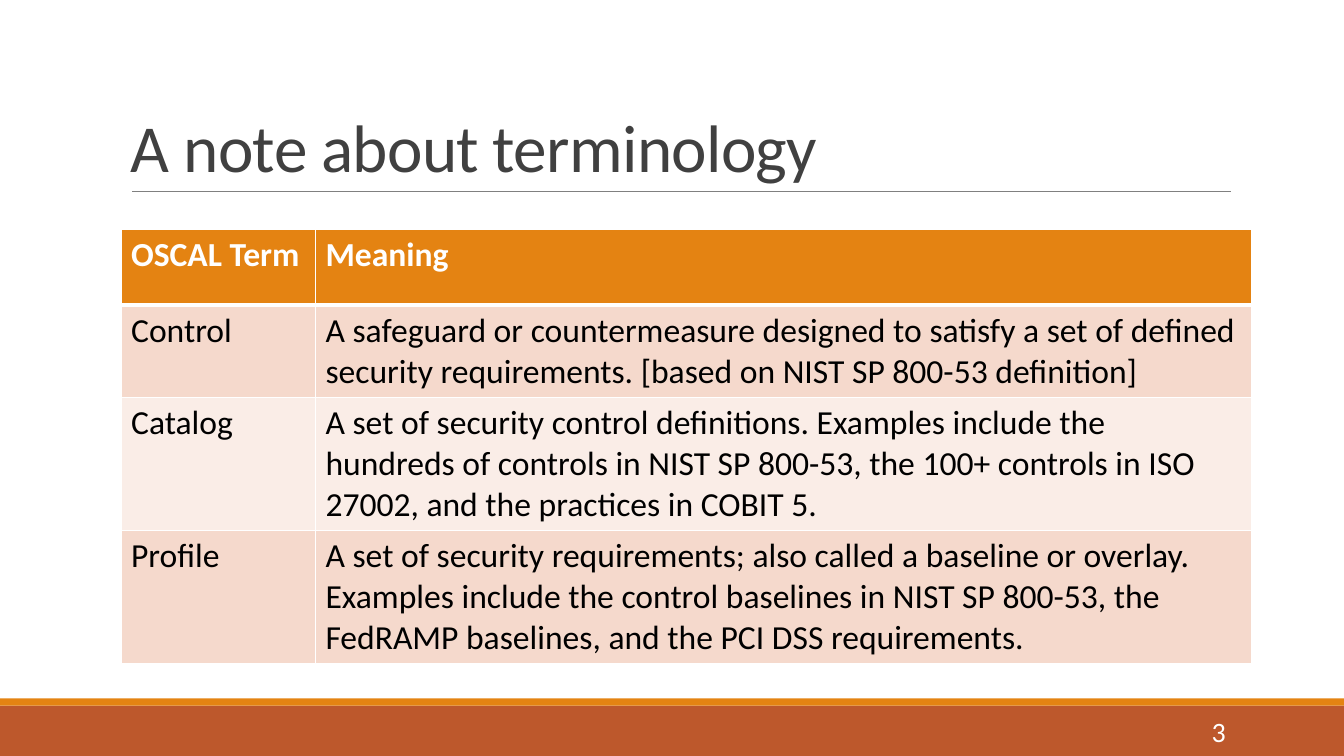
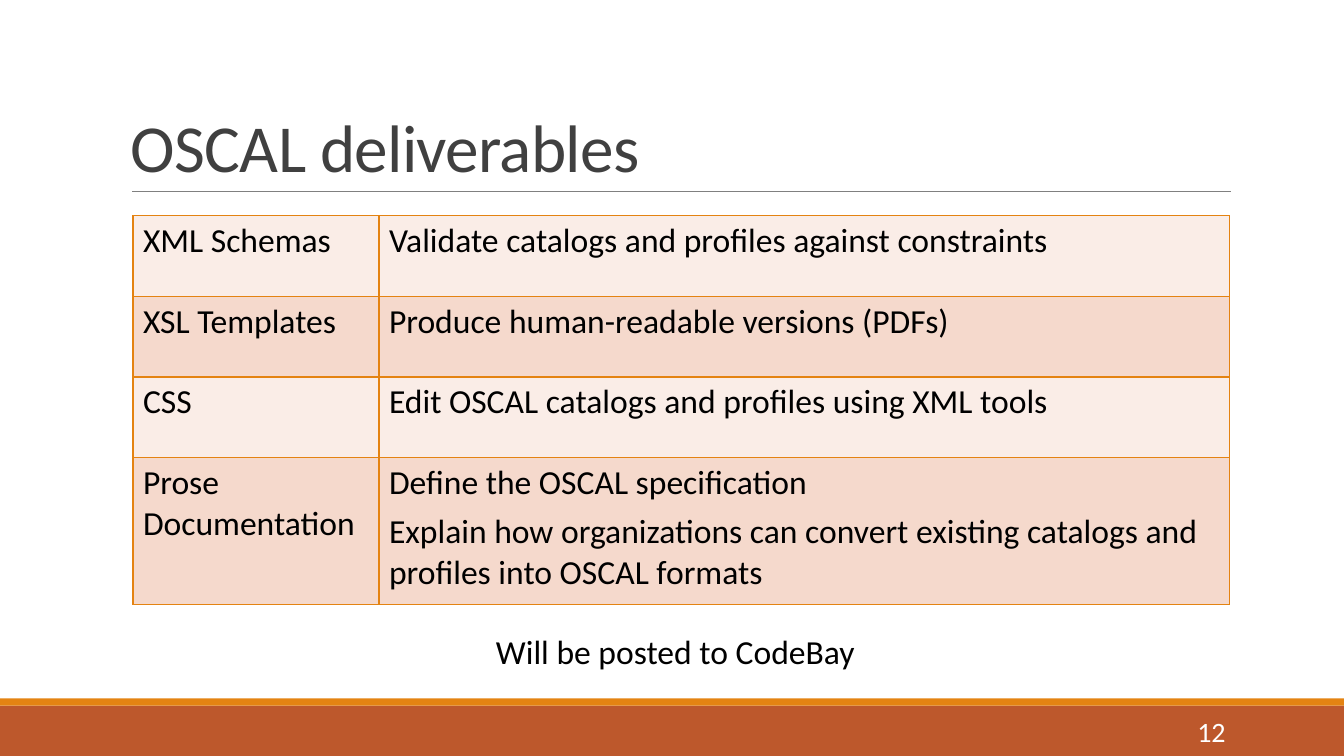
"""Build two slides on OSCAL terminology and deliverables."""
from lxml.etree import SubElement
from pptx import Presentation
from pptx.dml.color import RGBColor
from pptx.enum.shapes import MSO_CONNECTOR as Connector, MSO_SHAPE as Shape
from pptx.enum.text import MSO_ANCHOR as Anchor, PP_ALIGN as Align
from pptx.oxml.ns import qn
from pptx.util import Cm, Pt

WIDTH, HEIGHT = 33.87, 19.05
FONT = "Calibri"
WHITE, BLACK, TITLE_GREY, RULE_GREY = "FFFFFF", "000000", "404040", "808080"
ORANGE, RUST, PEACH, PALE_PEACH = "E48312", "BD582C", "F5D9CC", "FAEDE7"
TEXT_LEFT, TEXT_WIDTH = 3.05, 27.94

TERMS = [
    ("OSCAL Term", "Meaning"),
    ("Control", "A safeguard or countermeasure designed to satisfy a set of "
     "defined security requirements. [based on NIST SP 800-53 definition]"),
    ("Catalog", "A set of security control definitions. Examples include the "
     "hundreds of controls in NIST SP 800-53, the 100+ controls in ISO 27002, "
     "and the practices in COBIT 5."),
    ("Profile", "A set of security requirements; also called a baseline or "
     "overlay. Examples include the control baselines in NIST SP 800-53, the "
     "FedRAMP baselines, and the PCI DSS requirements."),
]
DELIVERABLES = [
    ("XML Schemas", "Validate catalogs and profiles against constraints"),
    ("XSL Templates", "Produce human-readable versions (PDFs)"),
    ("CSS", "Edit OSCAL catalogs and profiles using XML tools"),
    ("Prose Documentation", "Define the OSCAL specification\nExplain how "
     "organizations can convert existing catalogs and profiles into OSCAL formats"),
]


def color(value):
    """Turn a hex string into a colour."""
    return RGBColor.from_string(value)


def write_text(frame, text, size=24, fill=BLACK, bold=False, align=Align.LEFT,
               line_spacing=None, space_after=None, tracking=None):
    """Fill a text frame with one formatted paragraph per line of text."""
    frame.word_wrap = True
    for index, line in enumerate(text.split("\n")):
        paragraph = frame.add_paragraph() if index else frame.paragraphs[0]
        paragraph.alignment = align
        paragraph.line_spacing = line_spacing
        paragraph.space_after = space_after
        run = paragraph.add_run()
        run.text = line
        run.font.name, run.font.size, run.font.bold = FONT, Pt(size), bold
        run.font.color.rgb = color(fill)
        if tracking is not None:
            run.font._element.set("spc", str(tracking))


def add_text(slide, text, left, top, width, height, anchor=Anchor.TOP, **style):
    """Add a text box."""
    box = slide.shapes.add_textbox(Cm(left), Cm(top), Cm(width), Cm(height))
    box.text_frame.vertical_anchor = anchor
    write_text(box.text_frame, text, **style)


def add_band(slide, top, height, fill):
    """Add a full-width band."""
    band = slide.shapes.add_shape(Shape.RECTANGLE, 0, Cm(top), Cm(WIDTH), Cm(height))
    band.shadow.inherit = False
    band.fill.solid()
    band.fill.fore_color.rgb = color(fill)
    band.line.fill.background()


def add_title_rule(slide):
    """Add the thin line under the title."""
    rule = slide.shapes.add_connector(
        Connector.STRAIGHT, Cm(3.33), Cm(4.83), Cm(31.01), Cm(4.83))
    rule.line.color.rgb = color(RULE_GREY)
    rule.line.width = Pt(0.5)
    SubElement(rule._element.spPr, qn("a:effectLst"))


def add_border(cell, side, width, fill):
    """Draw one side of a cell: L, R, T or B."""
    line = SubElement(cell._tc.get_or_add_tcPr(), qn(f"a:ln{side}"), w=str(Pt(width)))
    solid = SubElement(line, qn("a:solidFill"))
    SubElement(solid, qn("a:srgbClr"), val=fill)


def add_grid(slide, rows, left, top, widths, heights, border, fills, header=False):
    """Add a table whose row fills alternate, with an optional header row."""
    table = slide.shapes.add_table(
        len(rows), len(widths), Cm(left), Cm(top),
        Cm(sum(widths)), Cm(sum(heights))).table
    table.first_row, table.horz_banding = header, False
    for column, width in zip(table.columns, widths):
        column.width = Cm(width)
    for row, height in zip(table.rows, heights):
        row.height = Cm(height)
    rule_widths = [1] * (len(rows) + 1)
    if header:
        rule_widths[1] = 3
    for row_index, texts in enumerate(rows):
        is_header = header and row_index == 0
        fill = ORANGE if is_header else fills[row_index % 2]
        for column_index, text in enumerate(texts):
            cell = table.cell(row_index, column_index)
            sides = {"L": 1, "R": 1, "T": rule_widths[row_index],
                     "B": rule_widths[row_index + 1]}
            for side, width in sides.items():
                add_border(cell, side, width, border)
            cell.fill.solid()
            cell.fill.fore_color.rgb = color(fill)
            write_text(cell.text_frame, text, bold=is_header,
                       fill=WHITE if is_header else BLACK,
                       space_after=Pt(6) if "\n" in text else None)


def add_slide(presentation, title, number):
    """Add a slide with the shared bands, title and page number."""
    slide = presentation.slides.add_slide(presentation.slide_layouts[6])
    add_band(slide, 17.78, 1.27, RUST)
    add_band(slide, 17.6, 0.18, ORANGE)
    add_title_rule(slide)
    add_text(slide, title, TEXT_LEFT, 0.79, TEXT_WIDTH, 4.04, anchor=Anchor.BOTTOM,
             size=48, fill=TITLE_GREY, line_spacing=0.85, tracking=-50)
    add_text(slide, str(number), 27.51, 17.93, 3.63, 1.02, anchor=Anchor.MIDDLE,
             size=20, fill=WHITE, align=Align.RIGHT)
    return slide


def main():
    """Build and save the presentation."""
    presentation = Presentation()
    presentation.slide_width, presentation.slide_height = Cm(WIDTH), Cm(HEIGHT)

    terminology = add_slide(presentation, "A note about terminology", 3)
    add_grid(terminology, TERMS, 3.05, 5.79, [4.9, 23.6], [1.9, 2.32, 3.35, 3.35],
             WHITE, [PALE_PEACH, PEACH], header=True)

    deliverables = add_slide(presentation, "OSCAL deliverables", 12)
    add_grid(deliverables, DELIVERABLES, 3.35, 5.44, [6.2, 21.44],
             [2.03] * 3 + [3.71], ORANGE, [PALE_PEACH, PEACH])
    add_text(deliverables, "Will be posted to CodeBay", TEXT_LEFT, 15.77,
             TEXT_WIDTH, 1.27, align=Align.CENTER)

    presentation.save("out.pptx")


if __name__ == "__main__":
    main()
